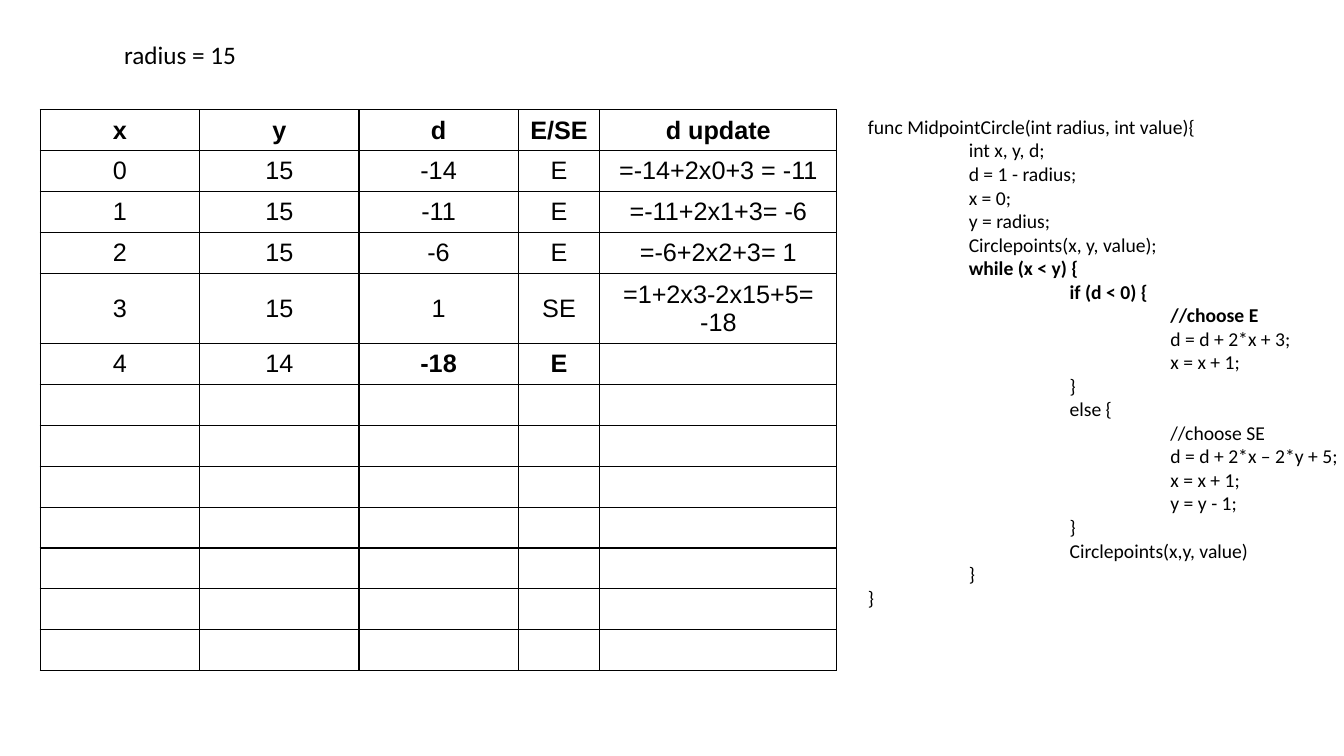
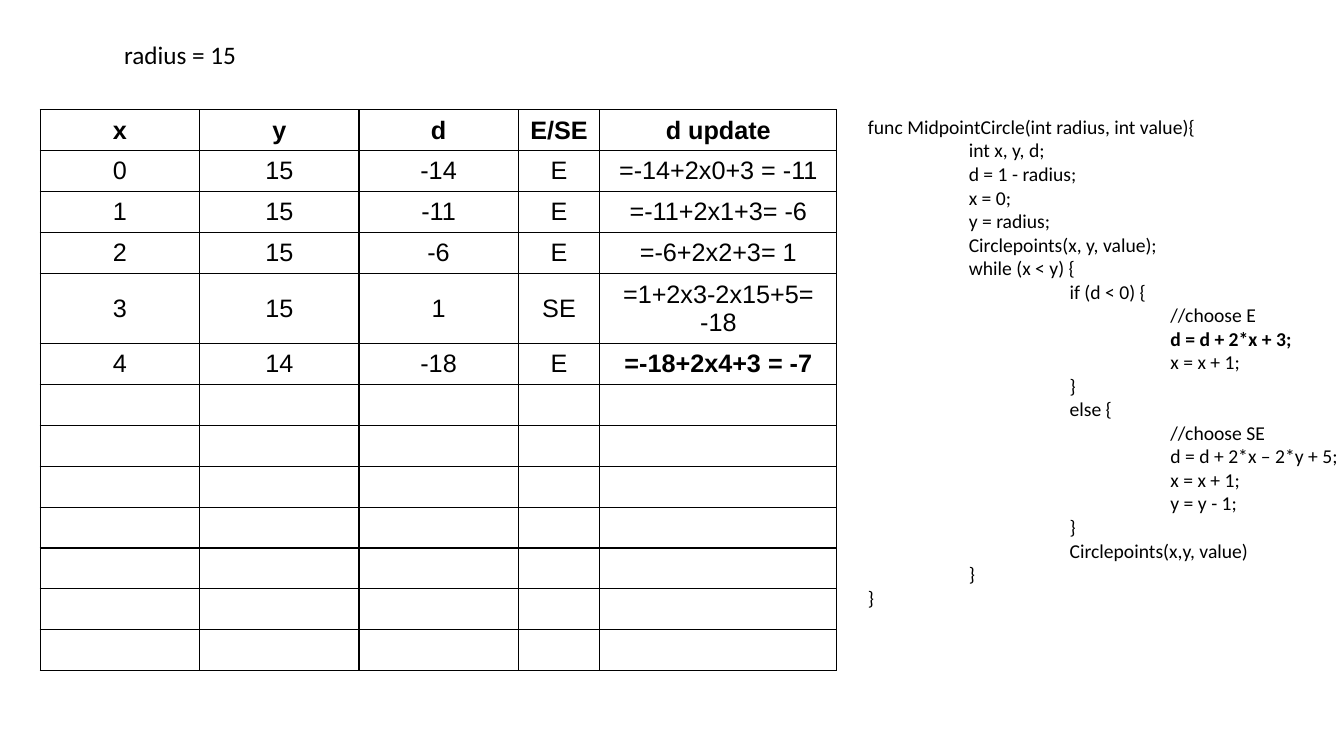
import pptx
import pptx.dml.color
import pptx.enum.text
import pptx.oxml.ns
import pptx.util
from lxml import etree

Inches = pptx.util.Inches
Pt = pptx.util.Pt
INK = "000000"
COLUMN_WIDTHS = [1.58, 1.58, 1.58, 0.81, 2.35]
ROW_COUNT = 13
TRACE = [
    ["x", "y", "d", "E/SE", "d update"],
    ["0", "15", "-14", "E", "=-14+2x0+3 = -11"],
    ["1", "15", "-11", "E", "=-11+2x1+3= -6"],
    ["2", "15", "-6", "E", "=-6+2x2+3= 1"],
    ["3", "15", "1", "SE", "=1+2x3-2x15+5= -18"],
]
# Each line of the algorithm: indent level, text
CODE = [
    (0, "func MidpointCircle(int radius, int value){"),
    (1, "int x, y, d;"),
    (1, "d = 1 - radius;"),
    (1, "x = 0;"),
    (1, "y = radius;"),
    (1, "Circlepoints(x, y, value);"),
    (1, "while (x < y) {"),
    (2, "if (d < 0) {"),
    (3, "//choose E"),
    (3, "d = d + 2*x + 3;"),
    (3, "x = x + 1;"),
    (2, "}"),
    (2, "else {"),
    (3, "//choose SE"),
    (3, "d = d + 2*x – 2*y + 5;"),
    (3, "x = x + 1;"),
    (3, "y = y - 1;"),
    (2, "}"),
    (2, "Circlepoints(x,y, value)"),
    (1, "}"),
    (0, "}"),
]
# Each step: the current trace row, its bold columns, the bold code lines
STEPS = [
    (["4", "14", "-18", "E", ""], {2, 3},
     {"while (x < y) {", "if (d < 0) {", "//choose E"}),
    (["4", "14", "-18", "E", "=-18+2x4+3 = -7"], {4},
     {"d = d + 2*x + 3;"}),
]


def add_run(paragraph, text, font, size, bold=False):
    run = paragraph.add_run()
    run.text = text
    run.font.name = font
    run.font.size = Pt(size)
    run.font.bold = bold
    run.font.color.rgb = pptx.dml.color.RGBColor.from_string(INK)


def add_borders(cell):
    """Draw a 1 pt line on all four sides; call before setting the fill."""
    properties = cell._tc.get_or_add_tcPr()
    qn = pptx.oxml.ns.qn
    for side in ("lnL", "lnR", "lnT", "lnB"):
        line = etree.SubElement(properties, qn("a:" + side), w=str(Pt(1)))
        fill = etree.SubElement(line, qn("a:solidFill"))
        etree.SubElement(fill, qn("a:srgbClr"), val=INK)


deck = pptx.Presentation()
deck.slide_width = Inches(13.33)
deck.slide_height = Inches(7.5)
title_only = deck.slide_layouts[5]

for current_row, bold_columns, bold_lines in STEPS:
    slide = deck.slides.add_slide(title_only)

    heading = slide.shapes.title
    heading.left, heading.top = Inches(1.13), Inches(0.34)
    heading.width, heading.height = Inches(1.4), Inches(0.4)
    heading.text_frame.auto_size = pptx.enum.text.MSO_AUTO_SIZE.NONE
    heading.text_frame.vertical_anchor = pptx.enum.text.MSO_ANCHOR.TOP
    heading_line = heading.text_frame.paragraphs[0]
    heading_line.alignment = pptx.enum.text.PP_ALIGN.LEFT
    add_run(heading_line, "radius = 15", "Calibri", 18)

    listing = slide.shapes.add_textbox(
        Inches(8.51), Inches(1.09), Inches(5.12), Inches(5.28)).text_frame
    listing.word_wrap = True
    for number, (level, text) in enumerate(CODE):
        code_line = listing.add_paragraph() if number else listing.paragraphs[0]
        code_line._p.get_or_add_pPr().set("marL", str(Inches(level)))
        add_run(code_line, text, "Calibri", 14, text in bold_lines)

    trace = slide.shapes.add_table(
        ROW_COUNT, len(COLUMN_WIDTHS), Inches(0.4), Inches(1.09),
        Inches(sum(COLUMN_WIDTHS)), Inches(5.27)).table
    trace.first_row = False
    trace.horz_banding = False
    for column, width in zip(trace.columns, COLUMN_WIDTHS):
        column.width = Inches(width)

    filled_rows = TRACE + [current_row]
    for r in range(ROW_COUNT):
        for c in range(len(COLUMN_WIDTHS)):
            cell = trace.cell(r, c)
            add_borders(cell)
            cell.fill.background()
            cell.vertical_anchor = pptx.enum.text.MSO_ANCHOR.MIDDLE
            if r < len(filled_rows) and filled_rows[r][c]:
                entry = cell.text_frame.paragraphs[0]
                entry.alignment = pptx.enum.text.PP_ALIGN.CENTER
                is_current = r == len(TRACE) and c in bold_columns
                add_run(entry, filled_rows[r][c], "Arial", 18, r == 0 or is_current)

deck.save("out.pptx")
